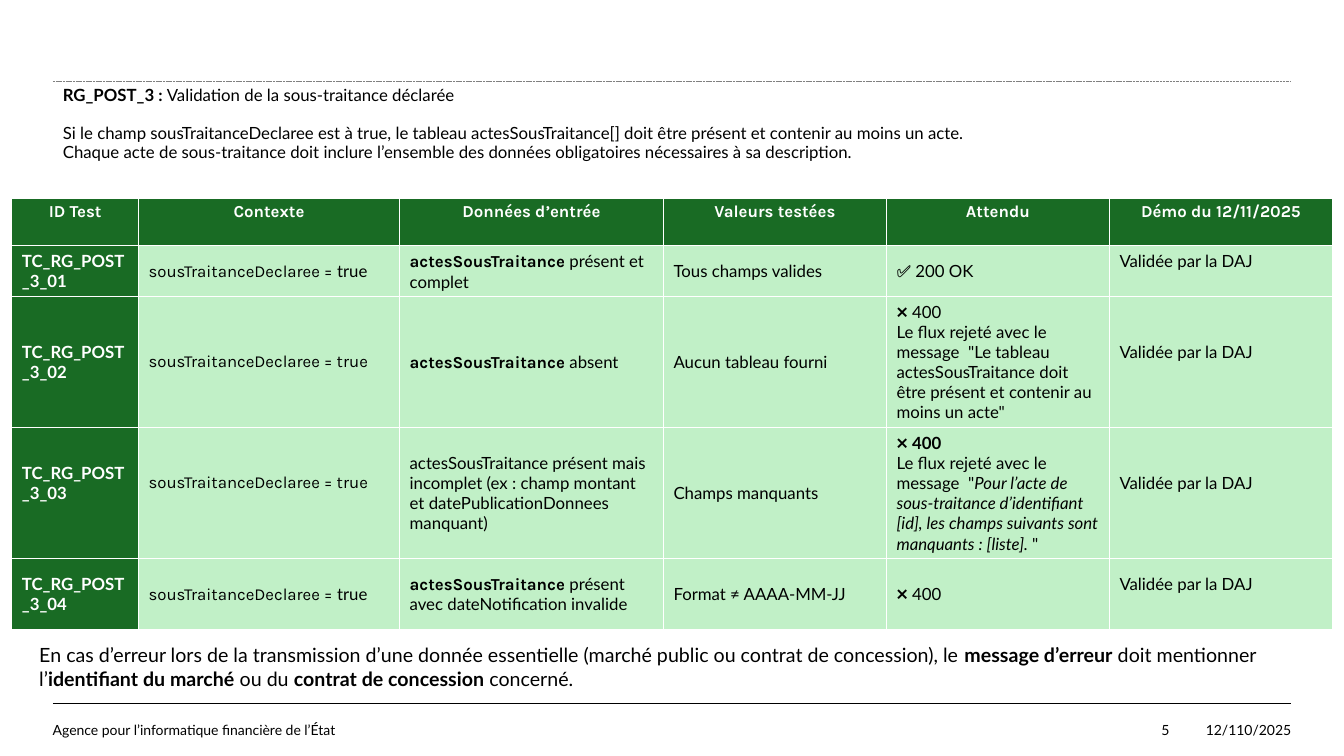
"""Build the RG_POST_3 test slide on declared subcontracting."""
from dataclasses import dataclass

from lxml import etree
from pptx import Presentation
from pptx import util as u
from pptx.dml.color import RGBColor
from pptx.enum import dml, shapes, text
from pptx.oxml.ns import qn

COLOURS = {"black": "000000", "white": "FFFFFF", "grey": "808080",
           "green": "196B24", "mint": "C1F0C7"}
COLUMN_WIDTHS = (3.19, 6.58, 6.65, 5.62, 5.62, 5.62)
ROW_HEIGHTS = (1.2, 1.28, 3.3, 3.3, 1.78)
HEADERS = ("ID Test", "Contexte", "Données d’entrée", "Valeurs testées",
           "Attendu", "Démo du 12/11/2025")
RAISED_MARGIN = 0.64


@dataclass(frozen=True)
class Run:
    text: str
    name: str = "Lato"
    bold: bool = False
    italic: bool = False


@dataclass(frozen=True)
class Rule:
    top: float
    colour: str
    width: float
    dash: dml.MSO_LINE


@dataclass(frozen=True)
class FooterText:
    left: float
    width: float
    text: str
    alignment: text.PP_ALIGN


@dataclass(frozen=True)
class TestCase:
    number: int
    context: list[Run]
    data: list[Run]
    values: str
    expected: list[list[Run]]
    raised: tuple[int, ...] = (5,)


RULES = (
    Rule(17.73, "black", 0.8, dml.MSO_LINE.SOLID),
    Rule(2.04, "grey", 0.25, dml.MSO_LINE.SQUARE_DOT),
)
FOOTER_TEXTS = (
    FooterText(1.33, 23.14, "Agence pour l’informatique financière de l’État", text.PP_ALIGN.LEFT),
    FooterText(24.47, 5, "5", text.PP_ALIGN.RIGHT),
    FooterText(29.47, 3.07, "12/110/2025", text.PP_ALIGN.RIGHT),
)

SPLIT_CONTEXT = [Run("sousTraitanceDeclaree = ", "Karla"), Run("true")]
PLAIN_CONTEXT = [Run("sousTraitanceDeclaree = true", "Karla")]
ACTS = Run("actesSousTraitance ", "Karla", bold=True)

TEST_CASES = (
    TestCase(1, SPLIT_CONTEXT, [ACTS, Run("présent et complet")],
             "Tous champs valides", [[Run("✅ 200 OK")]]),
    TestCase(2, PLAIN_CONTEXT, [ACTS, Run("absent")], "Aucun tableau fourni", [
        [Run("❌ 400")],
        [Run('Le flux rejeté avec le message  "Le tableau actesSousTraitance doit '
             'être présent et contenir au moins un acte"')]]),
    TestCase(3, PLAIN_CONTEXT, [
        Run("actesSousTraitance présent mais incomplet (ex : champ montant et "
            "datePublicationDonnees manquant)")], "Champs manquants", [
        [Run("❌ "), Run("400", bold=True)],
        [Run('Le flux rejeté avec le message  "'),
         Run("Pour l’acte de sous-traitance d’identifiant [id], les champs suivants "
             "sont manquants : [liste]. ", italic=True), Run('"')]], (0, 1, 5)),
    TestCase(4, SPLIT_CONTEXT, [ACTS, Run("présent avec dateNotification invalide")],
             "Format ≠ AAAA-MM-JJ", [[Run("❌ 400")]]),
)

RULE_TITLE = [Run("RG_POST_3 : ", bold=True), Run("Validation de la sous-traitance déclarée")]
RULE_DETAILS = [
    Run("Si le champ sousTraitanceDeclaree est à true, le tableau actesSousTraitance[] "
        "doit être présent et contenir au moins un acte."),
    Run("Chaque acte de sous-traitance doit inclure l’ensemble des données obligatoires "
        "nécessaires à sa description."),
]
ERROR_NOTE = [
    Run("En cas d’erreur lors de la transmission d’une donnée essentielle (marché public "
        "ou contrat de concession), le "),
    Run("message d’erreur", bold=True), Run(" doit mentionner l’"),
    Run("identifiant du marché", bold=True), Run(" ou du "),
    Run("contrat de concession", bold=True), Run(" concerné."),
]


def rgb(colour: str) -> RGBColor:
    return RGBColor.from_string(COLOURS[colour])


def write_paragraph(paragraph, runs: list[Run], size: float, colour: str = "black",
                    break_lines: bool = False) -> None:
    paragraph.font.size = u.Pt(size)
    paragraph.font.color.rgb = rgb(colour)
    written = []
    for index, run in enumerate(runs):
        if break_lines and index:
            paragraph.add_line_break()
        written.append(paragraph.add_run())
        written[-1].text = run.text
    for attribute in ("name", "bold", "italic"):
        values = [getattr(run, attribute) for run in runs]
        if len(set(values)) == 1:
            setattr(paragraph.font, attribute, values[0])
        else:
            for target, value in zip(written, values):
                setattr(target.font, attribute, value)


def draw_rule(slide, rule: Rule) -> None:
    connector = slide.shapes.add_connector(
        shapes.MSO_CONNECTOR.STRAIGHT, u.Cm(1.33), u.Cm(rule.top), u.Cm(32.54), u.Cm(rule.top))
    connector.line.color.rgb = rgb(rule.colour)
    connector.line.width = u.Pt(rule.width)
    connector.line.dash_style = rule.dash
    etree.SubElement(connector._element.spPr, qn("a:effectLst"))


def draw_footer_text(slide, footer: FooterText) -> None:
    shape = slide.shapes.add_textbox(
        u.Cm(footer.left), u.Cm(17.73), u.Cm(footer.width), u.Cm(1.32))
    frame = shape.text_frame
    frame.word_wrap = True
    frame.vertical_anchor = text.MSO_ANCHOR.MIDDLE
    frame.margin_left = frame.margin_right = frame.margin_top = frame.margin_bottom = 0
    frame.paragraphs[0].alignment = footer.alignment
    write_paragraph(frame.paragraphs[0], [Run(footer.text)], 10)


def draw_title(slide) -> None:
    title = slide.shapes.title
    title.left, title.top, title.width, title.height = map(u.Cm, (1.33, 2.04, 30.7, 2.26))
    frame = title.text_frame
    frame.word_wrap = True
    frame.auto_size = text.MSO_AUTO_SIZE.NONE
    frame.vertical_anchor = text.MSO_ANCHOR.TOP
    heading, details = frame.paragraphs[0], frame.add_paragraph()
    for paragraph in (heading, details):
        paragraph.alignment = text.PP_ALIGN.LEFT
        paragraph.line_spacing = u.Pt(13.5)
    details.space_before = u.Pt(13.5)
    write_paragraph(heading, RULE_TITLE, 12)
    write_paragraph(details, RULE_DETAILS, 12, break_lines=True)


def style_cell(cell, fill: str) -> None:
    properties = cell._tc.get_or_add_tcPr()
    for side in ("a:lnL", "a:lnR", "a:lnT", "a:lnB"):
        border = etree.SubElement(properties, qn(side), w=str(u.Pt(0.75)))
        solid = etree.SubElement(border, qn("a:solidFill"))
        etree.SubElement(solid, qn("a:srgbClr"), val=COLOURS["white"])
    cell.fill.solid()
    cell.fill.fore_color.rgb = rgb(fill)


def write_header(cell, label: str) -> None:
    style_cell(cell, "green")
    cell.margin_left = cell.margin_right = u.Cm(0.18)
    paragraph = cell.text_frame.paragraphs[0]
    paragraph.alignment = text.PP_ALIGN.CENTER
    paragraph.line_spacing = u.Pt(13.5)
    write_paragraph(paragraph, [Run(label, "Karla", bold=True)], 12, "white")


def write_test_case(table, case: TestCase) -> None:
    contents = ([[Run(f"TC_RG_POST_3_{case.number:02}", bold=True)]], [case.context],
                [case.data], [[Run(case.values)]], case.expected, [[Run("Validée par la DAJ")]])
    for column, paragraphs in enumerate(contents):
        cell = table.cell(case.number, column)
        style_cell(cell, "mint" if column else "green")
        cell.vertical_anchor = text.MSO_ANCHOR.MIDDLE
        if column in case.raised:
            cell.margin_bottom = u.Cm(RAISED_MARGIN)
        frame = cell.text_frame
        for index, runs in enumerate(paragraphs):
            paragraph = frame.add_paragraph() if index else frame.paragraphs[0]
            write_paragraph(paragraph, runs, 12, "black" if column else "white")


def draw_table(slide) -> None:
    table = slide.shapes.add_table(
        len(ROW_HEIGHTS), len(COLUMN_WIDTHS), u.Cm(0.3), u.Cm(4.99),
        u.Cm(sum(COLUMN_WIDTHS)), u.Cm(sum(ROW_HEIGHTS))).table
    table.first_col = True
    table.horz_banding = False
    for column, width in zip(table.columns, COLUMN_WIDTHS):
        column.width = u.Cm(width)
    for row, height in zip(table.rows, ROW_HEIGHTS):
        row.height = u.Cm(height)
    for index, label in enumerate(HEADERS):
        write_header(table.cell(0, index), label)
    for case in TEST_CASES:
        write_test_case(table, case)


def main() -> None:
    presentation = Presentation()
    presentation.slide_width, presentation.slide_height = u.Cm(33.87), u.Cm(19.05)
    slide = presentation.slides.add_slide(presentation.slide_layouts[5])
    for rule in RULES:
        draw_rule(slide, rule)
    for footer in FOOTER_TEXTS:
        draw_footer_text(slide, footer)
    draw_table(slide)
    draw_title(slide)
    note = slide.shapes.add_textbox(u.Cm(0.74), u.Cm(16.08), u.Cm(32.36), u.Cm(1.45))
    note.text_frame.word_wrap = True
    write_paragraph(note.text_frame.paragraphs[0], ERROR_NOTE, 14)
    presentation.save("out.pptx")


if __name__ == "__main__":
    main()
